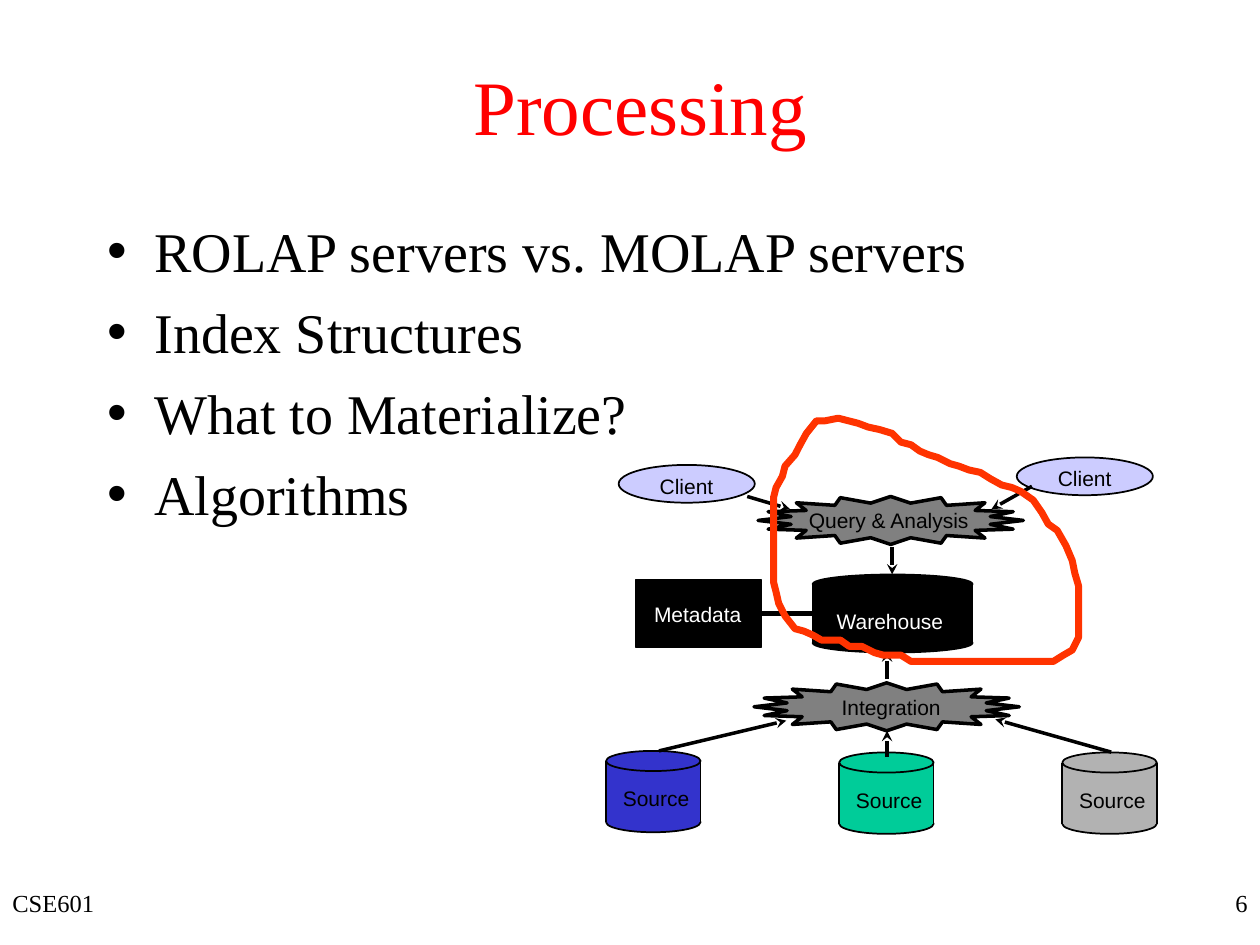
from dataclasses import dataclass

from lxml import etree
from pptx import Presentation
from pptx import util as u
from pptx.dml.color import RGBColor
from pptx.enum import shapes, text
from pptx.oxml.ns import qn


@dataclass(frozen=True)
class Theme:
    serif: str = "Times New Roman"
    sans: str = "Arial"
    title_size: float = 44
    body_size: float = 32
    footer_size: float = 14
    label_size: float = 12
    black: str = "000000"
    white: str = "FFFFFF"
    title: str = "FF0000"
    client: str = "CCCCFF"
    burst: str = "808080"
    outline: str = "FF3300"
    sources: tuple = ("3333CC", "00CC99", "B2B2B2")


THEME = Theme()

BURST_QUARTER = [(75.8, 0), (56.9, 2.2), (70, 5), (48.3, 5.7), (53.9, 10.1),
                 (31.9, 8.6), (28.8, 13), (11.4, 9.9), (0, 13.7)]

ARROWS = [
    (427, 283.7, 451.4, 290.9), (589.7, 277.9, 566.6, 290.9),
    (376.6, 429.1, 449.3, 411.8), (635, 429.8, 568.8, 411.1),
    (506.9, 388.1, 506.9, 372.2), (509.8, 312.5, 509.8, 328.3),
    (506.9, 432.7, 506.9, 417.6),
]

FOCUS_LOOP = [
    (479, 239), (471.6, 240.5), (466.6, 240.5), (460.8, 247.7), (457.2, 254.2),
    (454.3, 259.9), (448.6, 266.4), (447.1, 272.2), (443.5, 278.6), (442, 284.4),
    (442, 332.6), (443.5, 338.4), (445, 344.9), (448.6, 352), (454.3, 359.3),
    (459.4, 360.7), (464.4, 362.9), (469.4, 365.8), (480.2, 365.8), (485.3, 369.4),
    (492.5, 369.4), (499.7, 373), (504.7, 374.4), (514.8, 374.4), (520.6, 378),
    (601.9, 378), (607.7, 374.4), (612.7, 371.5), (616.3, 364.3), (616.3, 334.8),
    (614.2, 327.6), (612.7, 320.4), (609.1, 311.8), (604.1, 303.1), (599, 299.5),
    (595.4, 293), (590.4, 285.8), (583.2, 280.8), (578.2, 278.6), (572.4, 277.2),
    (565.9, 273.6), (560.2, 270), (553.7, 268.6), (547.9, 266.4), (542.9, 265),
    (535.7, 261.4), (530.6, 259.9), (525.6, 257.8), (520.6, 254.2), (514.8, 252.7),
    (509.8, 247.7), (502.6, 245.5), (496.1, 244.1), (490.3, 241.9),
]


def rgb(color):
    return RGBColor.from_string(color)


def place(sp, x, y, w, h):
    sp.left, sp.top, sp.width, sp.height = map(u.Pt, (x, y, w, h))


def write(p, content, *, size, font, color=THEME.black, align=None, before=None):
    r = p.add_run()
    r.text = content
    r.font.size, r.font.name = u.Pt(size), font
    r.font.color.rgb = rgb(color)
    if align is not None:
        p.alignment = align
    if before is not None:
        p.space_before = u.Pt(before)


def paint(sp, fill=None, line=None, weight=1):
    sp.shadow.inherit = False
    if fill:
        sp.fill.solid()
        sp.fill.fore_color.rgb = rgb(fill)
    else:
        sp.fill.background()
    if line:
        sp.line.color.rgb = rgb(line)
        sp.line.width = u.Pt(weight)
    else:
        sp.line.fill.background()


def add_title(slide, content):
    s = slide.shapes.title
    place(s, 30, 0, 672, 90)
    s.text_frame.vertical_anchor = text.MSO_ANCHOR.BOTTOM
    s.text_frame.auto_size = text.MSO_AUTO_SIZE.NONE
    write(s.text_frame.paragraphs[0], content, size=THEME.title_size,
          font=THEME.serif, color=THEME.title, align=text.PP_ALIGN.CENTER)


def add_bullets(slide, items):
    s = slide.placeholders[1]
    place(s, 54, 120, 612, 354)
    tf = s.text_frame
    tf.auto_size = text.MSO_AUTO_SIZE.NONE
    for i, item in enumerate(items):
        p = tf.add_paragraph() if i else tf.paragraphs[0]
        write(p, item, size=THEME.body_size, font=THEME.serif, before=8)


def add_footer(slide, content, x, w, align):
    tf = slide.shapes.add_textbox(*map(u.Pt, (x, 504, w, 36))).text_frame
    tf.word_wrap = True
    write(tf.paragraphs[0], content, size=THEME.footer_size, font=THEME.serif, align=align)


def add_label(parent, content, x, y, w, color=THEME.black):
    tf = parent.add_textbox(*map(u.Pt, (x, y, w, 18.7))).text_frame
    tf.word_wrap = True
    tf.margin_left = u.Pt(4.3)
    tf.margin_right = u.Pt(2)
    tf.margin_top = tf.margin_bottom = u.Pt(2.2)
    write(tf.paragraphs[0], content, size=THEME.label_size, font=THEME.sans, color=color)


def add_block(parent, kind, x, y, w, h, fill, line=None):
    sp = parent.add_shape(kind, *map(u.Pt, (x, y, w, h)))
    paint(sp, fill, line)
    return sp


def add_line(parent, x1, y1, x2, y2, weight=1, arrow=False):
    cxn = parent.add_connector(shapes.MSO_CONNECTOR.STRAIGHT, *map(u.Pt, (x1, y1, x2, y2)))
    cxn.line.color.rgb = rgb(THEME.black)
    cxn.line.width = u.Pt(weight)
    props = cxn._element.spPr
    if arrow:
        etree.SubElement(props.find(qn("a:ln")), qn("a:tailEnd"), type="stealth")
    etree.SubElement(props, qn("a:effectLst"))
    return cxn


def add_outline(parent, points, fill, line, weight):
    start, *rest = [(u.Pt(x), u.Pt(y)) for x, y in points]
    builder = parent.build_freeform(*start)
    builder.add_line_segments(rest, close=True)
    paint(builder.convert_to_shape(), fill, line, weight)


def add_burst(parent, cx, cy):
    half = BURST_QUARTER + [(-x, y) for x, y in reversed(BURST_QUARTER[:-1])]
    ring = half + [(-x, -y) for x, y in half[1:-1]]
    add_outline(parent, [(cx + x, cy + y) for x, y in ring], THEME.burst, THEME.black, 2)


def add_drum(parent, x, y, w, h, cap, fill):
    oval = shapes.MSO_SHAPE.OVAL
    top, bottom = y + cap / 2, y + h - cap / 2
    add_block(parent, oval, x, y + h - cap, w, cap, fill, THEME.black)
    body = add_block(parent, shapes.MSO_SHAPE.RECTANGLE, x, top, w, bottom - top, fill)
    add_block(parent, oval, x, y, w, cap, fill, THEME.black)
    for side in (x, x + w):
        add_line(parent, side, top, side, bottom)
    return body


def add_diagram(slide):
    parent = slide.shapes.add_group_shape().shapes
    for x, y in ((353.5, 265.7), (581, 261.4)):
        add_block(parent, shapes.MSO_SHAPE.OVAL, x, y, 77.8, 21.6, THEME.client, THEME.black)
        add_label(parent, "Client", x + 19.2, y + 2.5, 45)
    warehouse = add_drum(parent, 464.4, 328.3, 91.4, 44.6, 11, THEME.black)
    add_label(parent, "Warehouse", 473.8, 345.6, 72, THEME.white)
    for x, y, fill in zip((346.3, 479.5, 607), (429.1, 430, 430), THEME.sources):
        add_drum(parent, x, y, 54, 46.5, 11.5, fill)
        add_label(parent, "Source", x + 5.3, y + 17.6, 47.2)
    add_burst(parent, 509, 297.4)
    add_label(parent, "Query & Analysis", 457.9, 288, 103)
    add_burst(parent, 506.7, 403.9)
    add_label(parent, "Integration", 476.6, 394.6, 65.5)
    for ends in ARROWS:
        add_line(parent, *ends, weight=2, arrow=True)
    metadata = add_block(parent, shapes.MSO_SHAPE.RECTANGLE, 363.6, 331.2, 71.3, 38.8,
                         THEME.black, THEME.black)
    add_label(parent, "Metadata", 369.4, 341.3, 59)
    parent[-1].text_frame.paragraphs[0].runs[0].font.color.rgb = rgb(THEME.white)
    link = add_line(parent, 434.9, 350.6, 464.4, 350.6, weight=3)
    link.begin_connect(metadata, 3)
    link.end_connect(warehouse, 1)


def main():
    prs = Presentation()
    prs.slide_width, prs.slide_height = u.Pt(720), u.Pt(540)
    slide = prs.slides.add_slide(prs.slide_layouts[1])
    add_footer(slide, "CSE601", 0, 228, text.PP_ALIGN.LEFT)
    add_footer(slide, "6", 570, 150, text.PP_ALIGN.RIGHT)
    add_title(slide, "Processing")
    add_bullets(slide, ["ROLAP servers vs. MOLAP servers", "Index Structures",
                        "What to Materialize?", "Algorithms"])
    add_diagram(slide)
    add_outline(slide.shapes, FOCUS_LOOP, None, THEME.outline, 4)
    prs.save("out.pptx")


if __name__ == "__main__":
    main()
